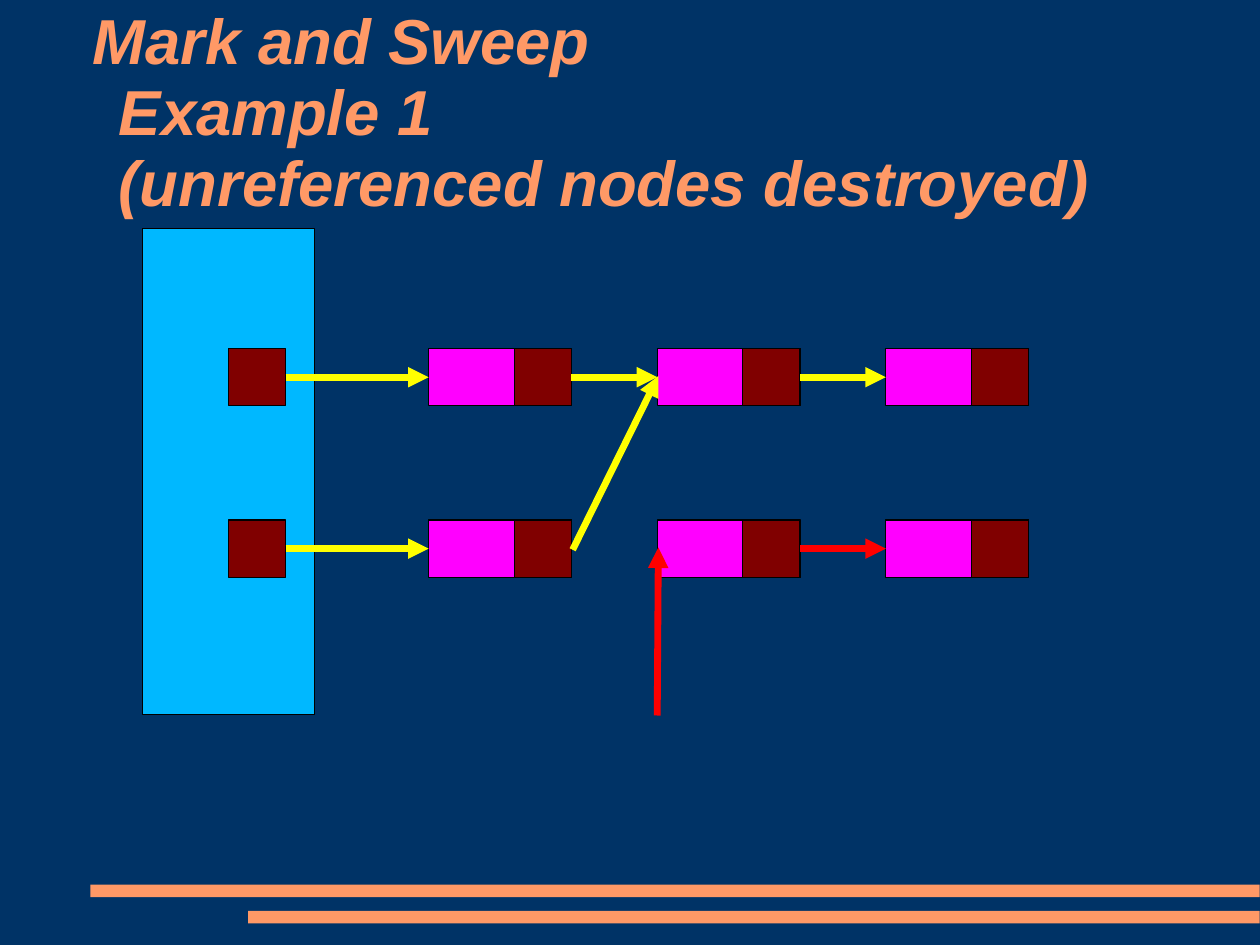
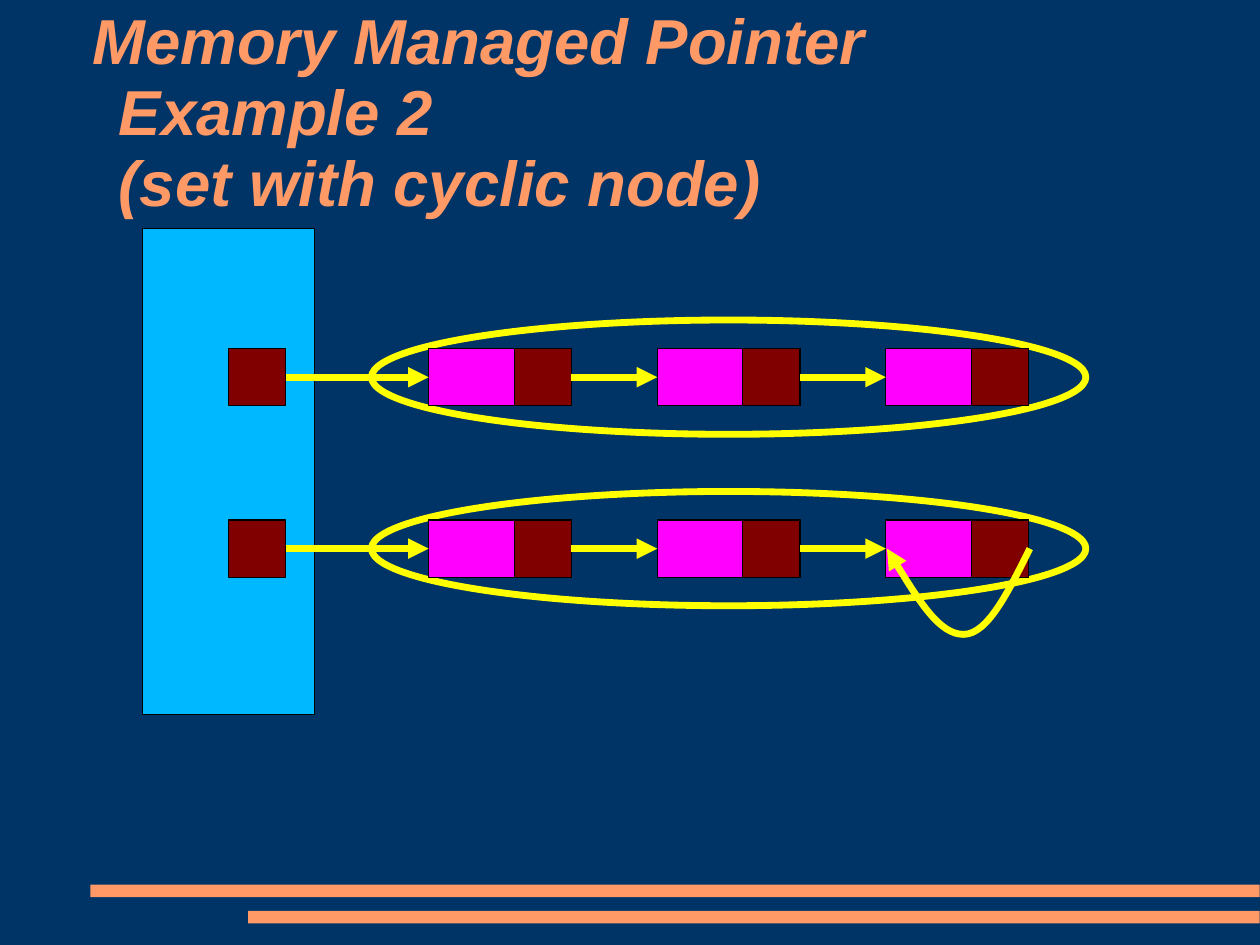
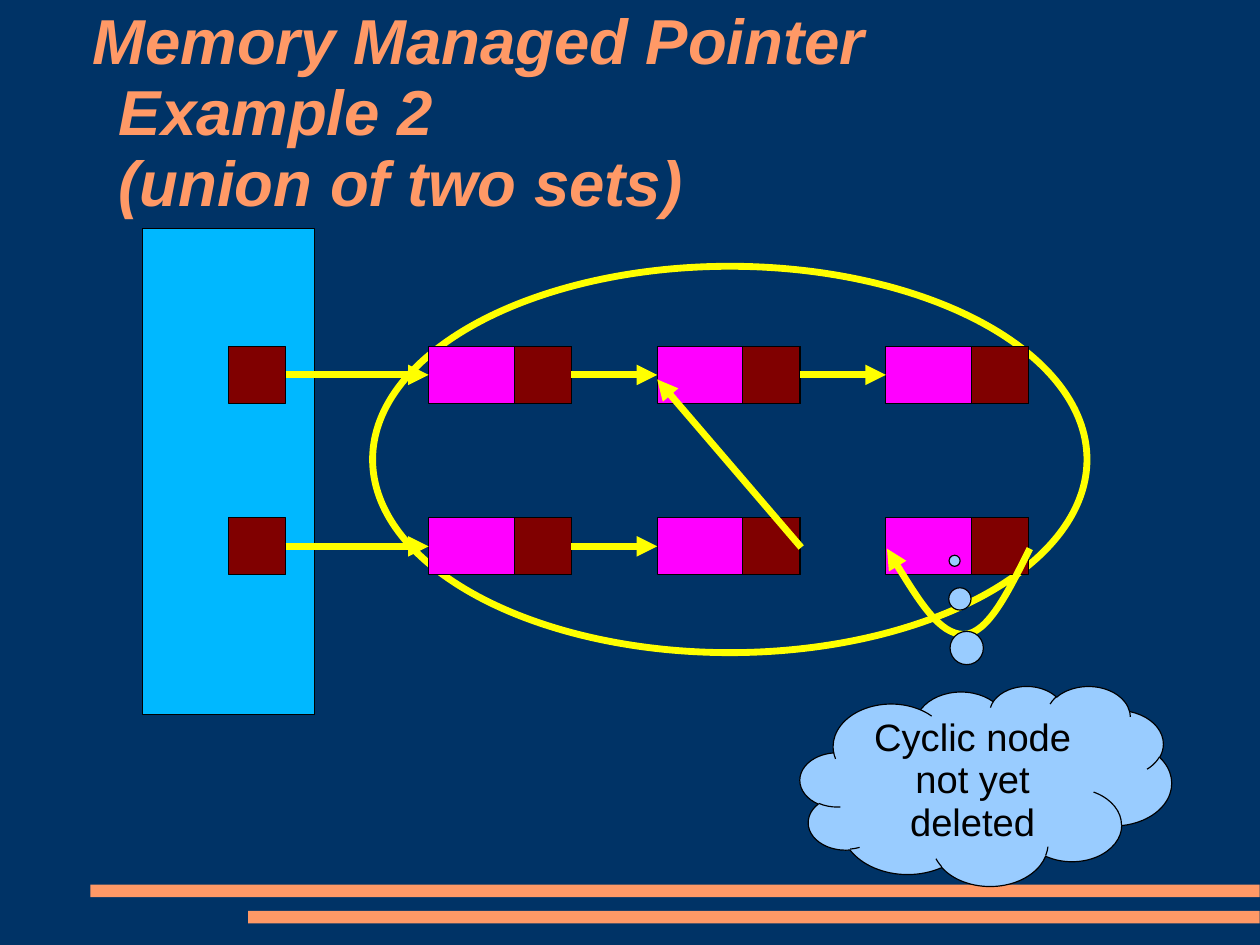
from copy import deepcopy
from itertools import product

from lxml.etree import SubElement
from pptx import Presentation
from pptx.dml.color import RGBColor
from pptx.enum.shapes import MSO_CONNECTOR as Connector, MSO_SHAPE as Shape
from pptx.enum.text import MSO_ANCHOR as Anchor, MSO_AUTO_SIZE as AutoSize, PP_ALIGN as Align
from pptx.oxml.ns import qn
from pptx.util import Cm, Inches, Pt

COLORS = {
    "background": "003366",
    "accent": "FF9966",
    "stack": "00B8FF",
    "node": "FF00FF",
    "pointer": "800000",
    "live": "FFFF00",
    "dead": "FF0000",
    "cloud": "99CCFF",
    "black": "000000",
}
FONT = "Arial"
LINE_SPACING = 0.93
SLIDE_SIZE = (Cm(28), Cm(21))
TITLE_BOX = (0.81, 0.07, 9.41, 1.86)
BANDS = [(0.79, 7.74, 10.23, 0.11), (2.17, 7.97, 8.85, 0.11)]

STACK_BOX = (1.25, 2, 1.5, 4.25)
CELL = 0.5
ROOT_LEFT = 2
NODE_LEFT, NODE_WIDTH, NODE_STEP = 3.75, 1.25, 2
ROW_STEP = 1.5
ROWS, COLUMNS = 2, 3
CYCLE = [(9.01, 4.8), (8.82, 5.18), (8.64, 5.55), (8.43, 5.55),
         (8.22, 5.55), (7.99, 5.18), (7.76, 4.8)]

PAGES = [
    {
        "title": ["Mark and Sweep", "Example 1", "(unreferenced nodes destroyed)"],
        "top": 3.05,
        "rings": [],
        "links": [(0, 0, "live"), (0, 1, "live"), (1, 1, "dead")],
        "jumps": [((5.01, 4.81), (5.76, 3.29), "live"),
                  ((5.75, 6.26), (5.76, 4.79), "dead")],
        "cycle": False,
        "thought": None,
    },
    {
        "title": ["Memory Managed Pointer", "Example 2", "(set with cyclic node)"],
        "top": 3.05,
        "rings": [(3.25, 4.3, 6.25, 1), (3.25, 2.8, 6.25, 1)],
        "links": [(row, column, "live") for row in range(2) for column in range(2)],
        "jumps": [],
        "cycle": True,
        "thought": None,
    },
    {
        "title": ["Memory Managed Pointer", "Example 2", "(union of two sets)"],
        "top": 3.03,
        "rings": [(3.26, 2.33, 6.25, 3.38)],
        "links": [(0, 0, "live"), (0, 1, "live"), (1, 0, "live")],
        "jumps": [((7.01, 4.79), (5.75, 3.32), "live")],
        "cycle": True,
        "thought": "Cyclic node not yet deleted",
    },
]
THOUGHT_BOX = (7, 6, 3.25, 1.75)
THOUGHT_TAIL = (-0.084, -1.125)


def inches(values):
    return [Inches(value) for value in values]


def color(name):
    return RGBColor.from_string(COLORS[name])


def set_line(shape, name, width):
    shape.line.color.rgb = color(name)
    shape.line.width = Pt(width)


def add_arrowhead(shape):
    SubElement(shape.element.spPr.find(qn("a:ln")), qn("a:tailEnd"), type="triangle")


def add_block(page, kind, box, fill=None, line="black", width=0.75):
    shape = page.shapes.add_shape(kind, *inches(box))
    shape.shadow.inherit = False
    if fill:
        shape.fill.solid()
        shape.fill.fore_color.rgb = color(fill)
    else:
        shape.fill.background()
    if line:
        set_line(shape, line, width)
    else:
        shape.line.fill.background()
    return shape


def add_arrow(page, start, end, name):
    arrow = page.shapes.add_connector(Connector.STRAIGHT, *inches(start + end))
    set_line(arrow, name, 4.31)
    add_arrowhead(arrow)
    SubElement(arrow.element.spPr, qn("a:effectLst"))


def add_cycle(page):
    start, *points = [inches(point) for point in CYCLE]
    builder = page.shapes.build_freeform(*start)
    builder.add_line_segments(points, close=False)
    cycle = builder.convert_to_shape()
    cycle.shadow.inherit = False
    cycle.fill.background()
    set_line(cycle, "live", 4.31)
    add_arrowhead(cycle)
    segments = list(cycle.element.iter(qn("a:lnTo")))
    outline = segments[0].getparent()
    for first in range(0, len(segments), 3):
        curve = SubElement(outline, qn("a:cubicBezTo"))
        for segment in segments[first:first + 3]:
            curve.append(segment[0])
            outline.remove(segment)


def style_span(span, size, name, strong=False):
    span.font.name = FONT
    span.font.size = Pt(size)
    span.font.color.rgb = color(name)
    span.font.bold = span.font.italic = strong


def set_title(page, lines):
    title = page.shapes.title
    title.left, title.top, title.width, title.height = inches(TITLE_BOX)
    frame = title.text_frame
    frame.text = "\v".join(lines)
    frame.word_wrap = True
    frame.auto_size = AutoSize.NONE
    frame.vertical_anchor = Anchor.MIDDLE
    frame.margin_left = frame.margin_right = frame.margin_top = frame.margin_bottom = 0
    para = frame.paragraphs[0]
    para.alignment = Align.LEFT
    para.line_spacing = LINE_SPACING
    indents = para._p.get_or_add_pPr()
    indents.set("marL", str(Inches(0.23)))
    indents.set("indent", str(Inches(-0.23)))
    for span in para.runs:
        style_span(span, 40, "accent", strong=True)
    for line_break in title.element.iter(qn("a:br")):
        line_break.insert(0, deepcopy(para.runs[0]._r.rPr))


def add_thought(page, text):
    cloud = add_block(page, Shape.CLOUD_CALLOUT, THOUGHT_BOX, "cloud")
    for index, value in enumerate(THOUGHT_TAIL):
        cloud.adjustments[index] = value
    frame = cloud.text_frame
    frame.text = text
    frame.word_wrap = True
    frame.vertical_anchor = Anchor.MIDDLE
    para = frame.paragraphs[0]
    para.alignment = Align.CENTER
    para.line_spacing = LINE_SPACING
    style_span(para.runs[0], 24, "black")


def node_left(column):
    return NODE_LEFT + column * NODE_STEP


def draw_page(page, content):
    set_title(page, content["title"])
    for ring in content["rings"]:
        add_block(page, Shape.OVAL, ring, line="live", width=4.31)
    add_block(page, Shape.RECTANGLE, STACK_BOX, "stack")

    tops = [content["top"] + row * ROW_STEP for row in range(ROWS)]
    middles = [top + CELL / 2 for top in tops]
    for top in tops:
        add_block(page, Shape.RECTANGLE, (ROOT_LEFT, top, CELL, CELL), "pointer")
    for top, column in product(tops, range(COLUMNS)):
        left = node_left(column)
        add_block(page, Shape.RECTANGLE, (left, top, NODE_WIDTH, CELL), "node")
        add_block(page, Shape.RECTANGLE, (left + NODE_WIDTH - CELL, top, CELL, CELL), "pointer")

    for middle in middles:
        add_arrow(page, (ROOT_LEFT + CELL, middle), (NODE_LEFT, middle), "live")
    for row, column, name in content["links"]:
        add_arrow(page, (node_left(column) + NODE_WIDTH, middles[row]),
                  (node_left(column + 1), middles[row]), name)
    for start, end, name in content["jumps"]:
        add_arrow(page, start, end, name)
    if content["cycle"]:
        add_cycle(page)
    if content["thought"]:
        add_thought(page, content["thought"])


def set_master(master, page):
    master.background.fill.solid()
    master.background.fill.fore_color.rgb = color("background")
    for index, box in enumerate(BANDS):
        band = add_block(page, Shape.RECTANGLE, box, "accent", line=None)
        band.element.nvSpPr.cNvPr.set("id", str(100 + index))
        master.element.cSld.spTree.insert(2 + index, band.element)


def main():
    deck = Presentation()
    deck.slide_width, deck.slide_height = SLIDE_SIZE
    layout = deck.slide_layouts.get_by_name("Title Only")
    pages = [deck.slides.add_slide(layout) for _ in PAGES]
    set_master(deck.slide_master, pages[0])
    for page, content in zip(pages, PAGES):
        draw_page(page, content)
    deck.save("out.pptx")


if __name__ == "__main__":
    main()
